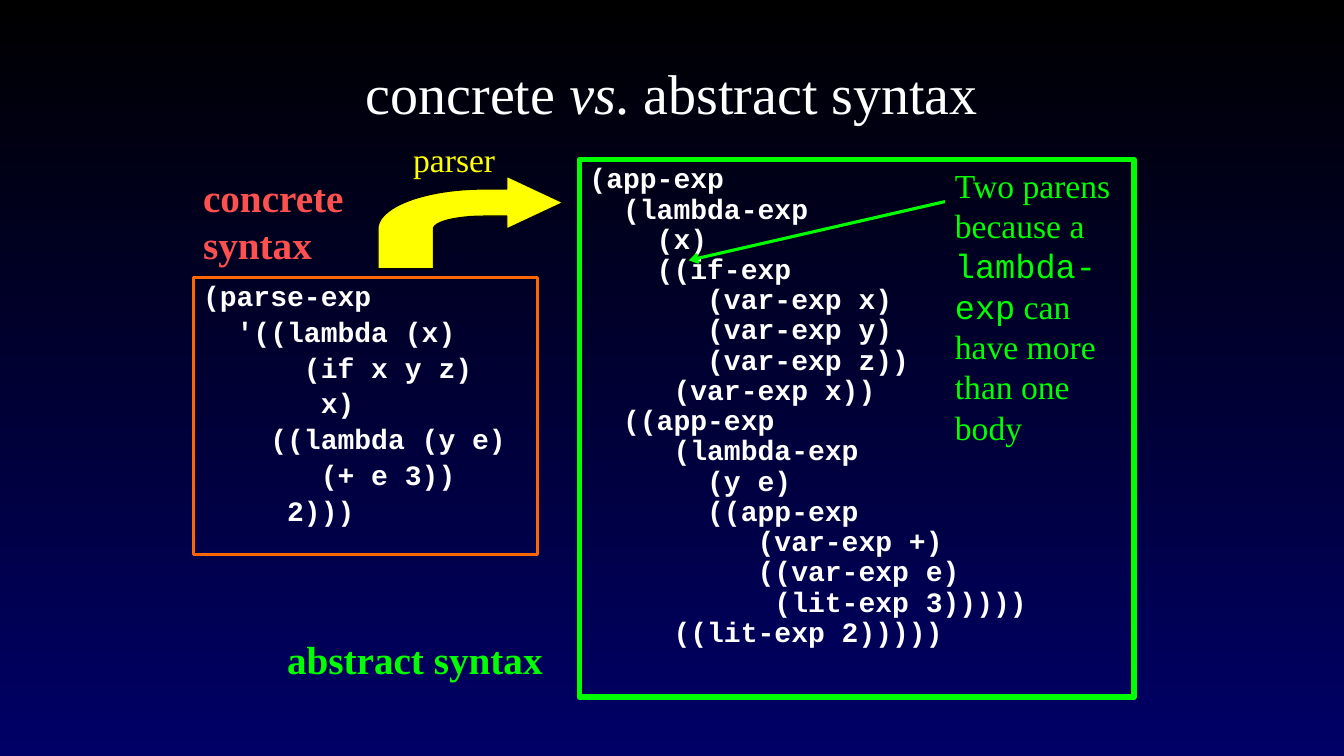
from math import cos, pi, sin

from lxml.etree import SubElement
from pptx import Presentation
from pptx.dml.color import RGBColor as RGB
from pptx.enum.shapes import MSO_CONNECTOR as CONN, MSO_SHAPE as SHAPE
from pptx.enum.text import MSO_ANCHOR as ANCHOR, PP_ALIGN as ALIGN
from pptx.oxml.ns import qn
from pptx.util import Pt

BLACK = RGB(0x00, 0x00, 0x00)
NAVY = RGB(0x00, 0x00, 0x66)
WHITE = RGB(0xFF, 0xFF, 0xFF)
RED = RGB(0xFF, 0x50, 0x50)
ORANGE = RGB(0xFF, 0x66, 0x00)
GREEN = RGB(0x00, 0xFF, 0x00)
YELLOW = RGB(0xFF, 0xFF, 0x00)
SERIF, MONO = "Times New Roman", "Courier New"

CONCRETE_CODE = """\
(parse-exp
  '((lambda (x)
      (if x y z)
       x)
    ((lambda (y e)
       (+ e 3))
     2)))"""

ABSTRACT_CODE = """\
(app-exp
  (lambda-exp
    (x)
    ((if-exp
       (var-exp x)
       (var-exp y)
       (var-exp z))
     (var-exp x))
  ((app-exp
     (lambda-exp
       (y e)
       ((app-exp
          (var-exp +)
          ((var-exp e)
           (lit-exp 3)))))
     ((lit-exp 2)))))"""


def set_font(font, name, size, color, bold=False):
    font.name, font.size, font.bold = name, Pt(size), bold
    font.color.rgb = color


def paint_background(s):
    fill = s.background.fill
    fill.gradient()
    fill.gradient_angle = 270
    for stop, position, color in zip(fill.gradient_stops, (0, 1), (BLACK, NAVY)):
        stop.position = position
        stop.color.rgb = color


def add_text(s, box, runs, size, color, bold=False):
    tf = s.shapes.add_textbox(*map(Pt, box)).text_frame
    tf.word_wrap = True
    p = tf.paragraphs[0]
    set_font(p.font, SERIF, size, color, bold)
    for text in runs:
        p.add_run().text = text
    return tf


def add_title(s, box):
    tf = add_text(s, box, ["concrete ", "vs", ". abstract syntax"], 40, WHITE)
    tf.vertical_anchor = ANCHOR.MIDDLE
    p = tf.paragraphs[0]
    p.alignment = ALIGN.CENTER
    p.runs[1].font.italic = True


def add_code(s, box, code, color, weight, gap=0):
    sp = s.shapes.add_shape(SHAPE.RECTANGLE, *map(Pt, box))
    sp.shadow.inherit = False
    sp.fill.background()
    sp.line.color.rgb = color
    sp.line.width = Pt(weight)
    tf = sp.text_frame
    tf.word_wrap = True
    tf.vertical_anchor = ANCHOR.TOP
    for i, line in enumerate(code.splitlines()):
        p = tf.add_paragraph() if i else tf.paragraphs[0]
        p.alignment = ALIGN.LEFT
        p.line_spacing = 0.9
        p.space_before = Pt(gap if i else 0)
        p.add_run().text = line
        set_font(p.font, MONO, 20, WHITE, True)


def quarter_arc(cx, cy, rx, ry, steps=24):
    angles = [pi / 2 * i / steps for i in range(steps + 1)]
    return [(cx - rx * sin(a), cy - ry * cos(a)) for a in angles]


def add_parser_arrow(s, box):
    x, y, w, h = box
    neck, bend, axis, base = 92, 75.6, 18.75, 37.5
    half_shaft, stem = 9.6, 39.6
    outer = quarter_arc(bend, base, bend, base - axis + half_shaft)
    inner = quarter_arc(bend, base, bend - stem, base - axis - half_shaft)
    outline = [(w, axis), (neck, 0), (neck, axis - half_shaft), *outer,
               (0, h), (stem, h), *reversed(inner),
               (neck, axis + half_shaft), (neck, base)]
    points = [(Pt(x + dx), Pt(y + dy)) for dx, dy in outline]
    fb = s.shapes.build_freeform(*points[0])
    fb.add_line_segments(points[1:], close=True)
    sp = fb.convert_to_shape()
    sp.shadow.inherit = False
    sp.fill.solid()
    sp.fill.fore_color.rgb = YELLOW
    sp.line.color.rgb = BLACK
    sp.line.width = Pt(0.75)


def add_note(s, box):
    x, y = box[:2]
    runs = ["Two parens because a ", "lambda-exp", " can have more than one body"]
    tf = add_text(s, box, runs, 24, GREEN)
    tf.paragraphs[0].runs[1].font.name = MONO
    ends = (x, y + 30, x - 183, y + 72)
    cx = s.shapes.add_connector(CONN.STRAIGHT, *map(Pt, ends))
    cx.line.color.rgb = GREEN
    cx.line.width = Pt(2.25)
    SubElement(cx.line._get_or_add_ln(), qn("a:tailEnd"), type="arrow")
    SubElement(cx._element.spPr, qn("a:effectLst"))


def add_concrete_side(s, box):
    x, y, w, h = box
    add_code(s, box, CONCRETE_CODE, ORANGE, 2.25, gap=4)
    add_parser_arrow(s, (x + 132, y - 72, 132, 66))
    add_text(s, (x, y - 78, 138, 75), ["concrete syntax"], 28, RED, True)
    add_text(s, (x + 150, y - 102, 84, 36), ["parser"], 24, YELLOW)


def add_abstract_side(s, box):
    x, y, w, h = box
    add_code(s, box, ABSTRACT_CODE, GREEN, 4)
    add_text(s, (x - 216, y + 336, 222, 41), ["abstract syntax"], 28, GREEN, True)
    add_note(s, (x + 261, y, 138, 211))


def main():
    prs = Presentation()
    prs.slide_width, prs.slide_height = Pt(960), Pt(540)
    s = prs.slides.add_slide(prs.slide_layouts[6])
    paint_background(s)
    add_title(s, (174, 42, 612, 48))
    add_concrete_side(s, (138, 198, 246, 198))
    add_abstract_side(s, (414, 114, 396, 384))
    prs.save("out.pptx")


if __name__ == "__main__":
    main()
